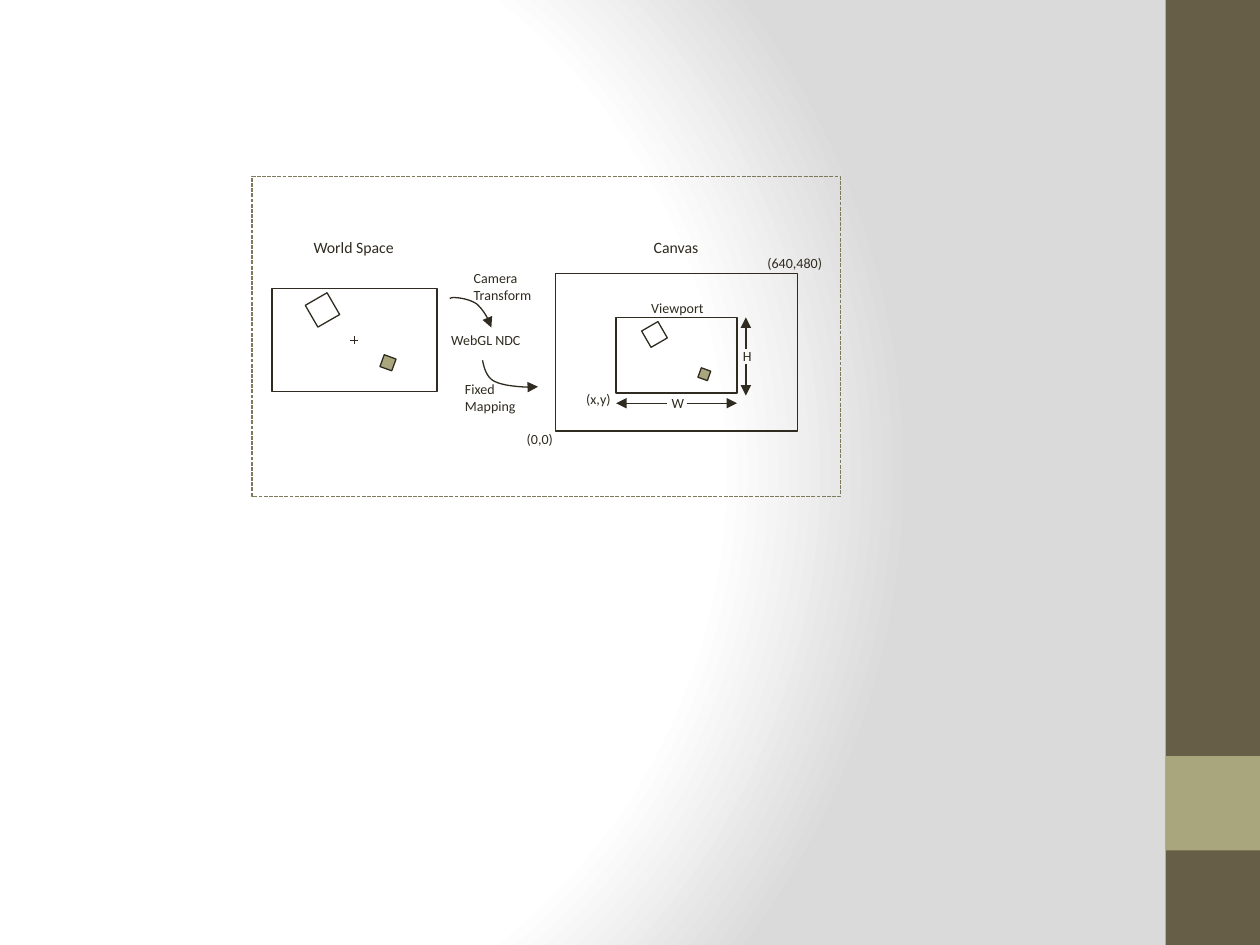
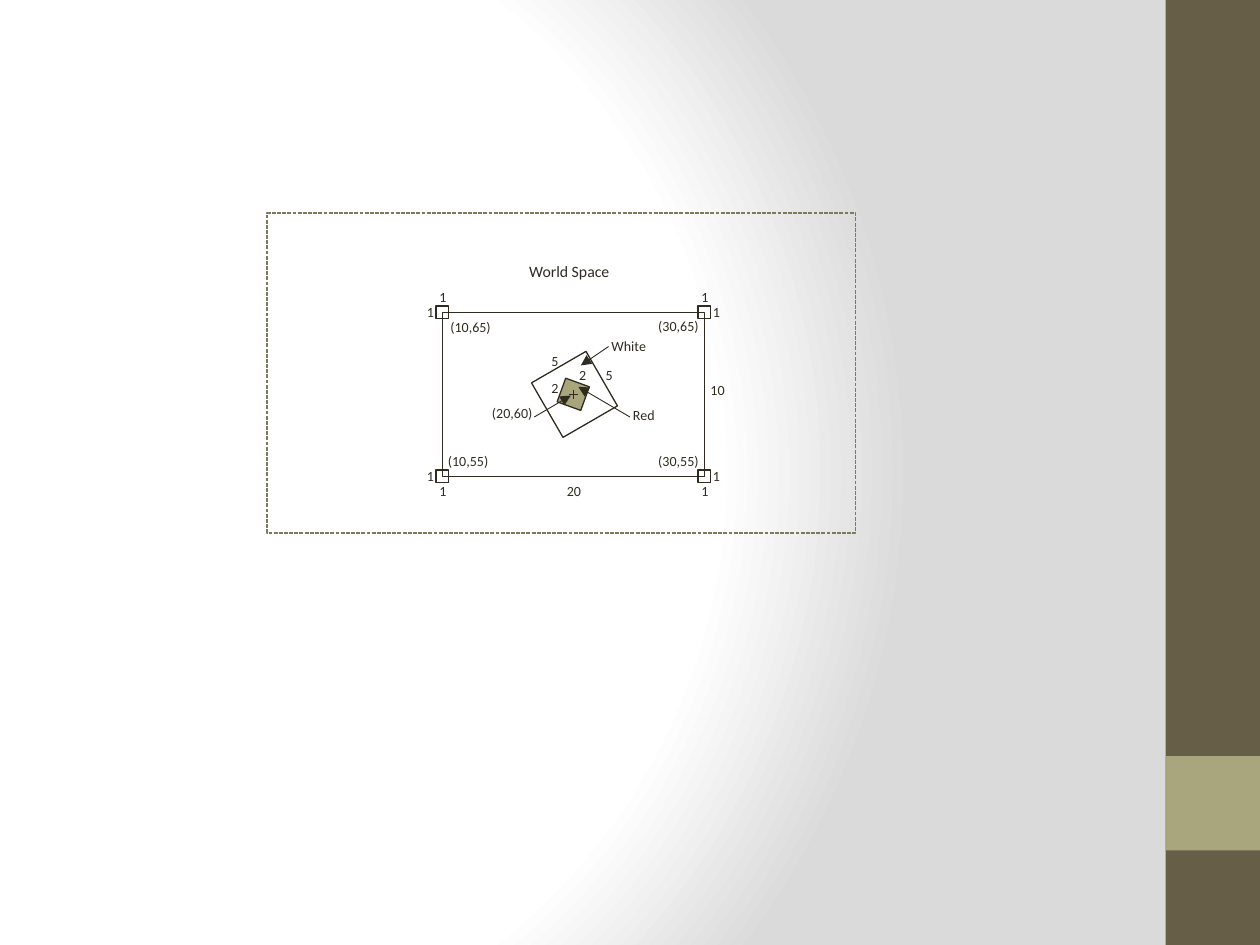
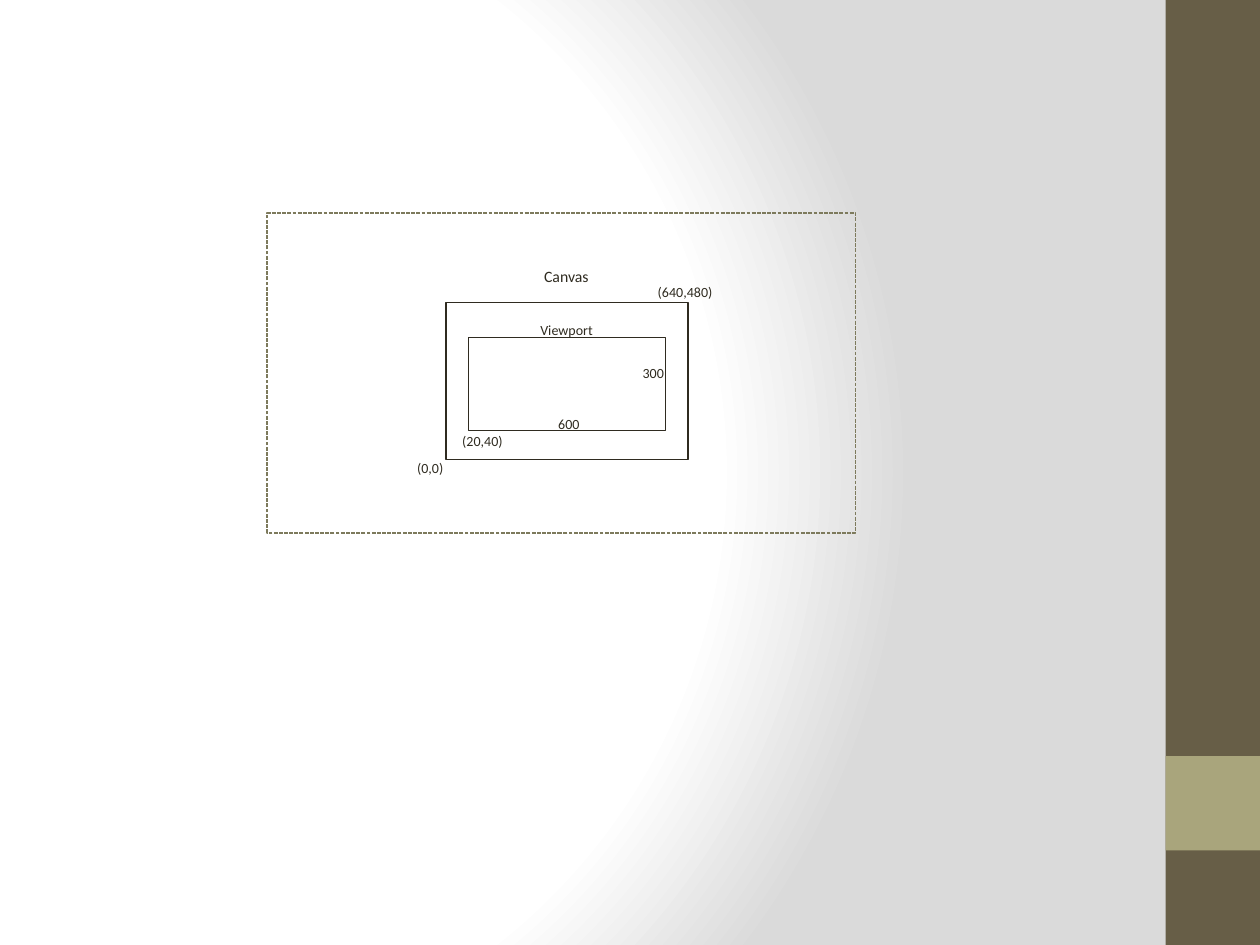
from lxml.etree import SubElement
from pptx import Presentation
from pptx.dml.color import RGBColor
from pptx.enum.dml import MSO_LINE
from pptx.enum.shapes import MSO_CONNECTOR, MSO_SHAPE
from pptx.enum.text import MSO_AUTO_SIZE, PP_ALIGN
from pptx.oxml import parse_xml
from pptx.oxml.ns import nsdecls, qn
from pptx.util import Inches, Pt

INK = RGBColor(0x2F, 0x2B, 0x20)
OLIVE = RGBColor(0x67, 0x5E, 0x47)
SAGE = RGBColor(0xA9, 0xA5, 0x7C)
MOSS = RGBColor(0x7D, 0x7A, 0x5C)
FONT = "Calibri"
LEFT, MID = PP_ALIGN.LEFT, PP_ALIGN.CENTER


def pen(shape, color=INK, width=0.75, dash=None, arrow=None):
    """Outline a shape or line, without shadow, with an arrow at head or tail."""
    shape.line.color.rgb = color
    shape.line.width = Pt(width)
    if dash:
        shape.line.dash_style = dash
    props = shape.element.spPr
    if arrow:
        SubElement(props.get_or_add_ln(), qn(f"a:{arrow}End")).set("type", "triangle")
    SubElement(props, qn("a:effectLst"))


def cross(x, y, arm):
    """Two thin lines that mark a centre."""
    return [(x - arm, y, x + arm, y, 0.5, None), (x, y - arm, x, y + arm, 0.5, None)]


deck = Presentation()
deck.slide_width, deck.slide_height = Inches(10), Inches(7.5)
master = deck.slide_master
blank = deck.slide_layouts[6]
pages = [deck.slides.add_slide(blank) for _ in range(3)]

# Shared background: a round gradient on the master
master.background.fill.solid()
back = master.element.cSld.bg.bgPr
stops = "".join(f'<a:gs pos="{pos}"><a:srgbClr val="{tone}"/></a:gs>'
                for pos, tone in ((0, "FFFFFF"), (75000, "FFFFFF"), (100000, "DADADA")))
back.replace(back[0], parse_xml(
    f'<a:gradFill {nsdecls("a")} rotWithShape="1"><a:gsLst>{stops}</a:gsLst>'
    '<a:path path="circle"><a:fillToRect l="20000" t="50000" r="100000" b="50000"/>'
    '</a:path></a:gradFill>'))

# Shared bands on the right, moved to the master
for num, (top, high, color) in enumerate(((0, 7.5, OLIVE), (6, 0.75, SAGE))):
    band = pages[0].shapes.add_shape(MSO_SHAPE.RECTANGLE, Inches(9.25), Inches(top),
                                     Inches(0.75), Inches(high))
    band.fill.solid()
    band.fill.fore_color.rgb = color
    band.line.fill.background()
    band.shadow.inherit = False
    band.element.nvSpPr.cNvPr.set("id", str(20 + num))
    master.shapes.element.insert(2 + num, band.element)

# boxes: left, top, width, height, turn, fill
# labels: text, left, top, width, height, size, side inset, alignment
# lines: from x, from y, to x, to y, width, arrow

# Slide 1: from world space to the viewport
world = {
    "frame": (2, 1.4),
    "canvas": (4.41, 2.17),
    "boxes": [
        (2.16, 2.29, 1.31, 0.82, 0, None),
        (2.46, 2.36, 0.2, 0.2, -30, None),
        (3.03, 2.83, 0.1, 0.1, 20, SAGE),
        (4.89, 2.52, 0.96, 0.6, 0, None),
        (5.12, 2.58, 0.15, 0.15, -30, None),
        (5.55, 2.93, 0.08, 0.08, 20, SAGE),
    ],
    "labels": [
        ("World Space", 2.39, 1.84, 0.92, 0.25, 9, 0.1, LEFT),
        ("Viewport", 5.07, 2.33, 0.64, 0.24, 8, 0.1, LEFT),
        ("(x,y)", 4.48, 3.05, 0.54, 0.24, 8, 0.1, MID),
        ("H", 5.86, 2.71, 0.14, 0.18, 8, 0, MID),
        ("W", 5.31, 3.08, 0.14, 0.18, 8, 0, MID),
        ("WebGL NDC", 3.58, 2.58, 0.61, 0.24, 8, 0, LEFT),
        ("Fixed Mapping", 3.69, 2.97, 0.61, 0.37, 8, 0, LEFT),
        ("Camera\nTransform", 3.76, 2.09, 0.61, 0.37, 8, 0, LEFT),
    ],
    "lines": cross(2.81, 2.7, 0.03) + [
        (5.92, 2.89, 5.92, 3.14, 0.75, "tail"),
        (5.92, 2.77, 5.92, 2.52, 0.75, "tail"),
        (5.45, 3.2, 5.85, 3.2, 0.75, "tail"),
        (5.29, 3.2, 4.89, 3.2, 0.75, "tail"),
    ],
    # Each curve is a chain of cubic pieces that share their end points
    "curves": [
        [(3.57, 2.37), (3.59, 2.35), (3.72, 2.37), (3.78, 2.41),
         (3.83, 2.45), (3.88, 2.53), (3.9, 2.6)],
        [(3.83, 2.86), (3.84, 2.91), (3.86, 3), (3.93, 3.03),
         (4.01, 3.07), (4.22, 3.08), (4.27, 3.07)],
    ],
}

# Slide 2: world space with its sizes and corners
size = {
    "frame": (2.12, 1.69),
    "boxes": [
        (3.51, 2.48, 2.08, 1.3, 0, None),
        (4.31, 2.88, 0.5, 0.5, -30, None),
        (4.45, 3.03, 0.2, 0.2, 20, SAGE),
    ] + [(x - 0.05, y - 0.05, 0.1, 0.1, 0, None)
         for x in (3.51, 5.59) for y in (2.48, 3.78)],
    "labels": [("World Space", 4.2, 2.03, 0.7, 0.25, 9, 0, LEFT)] + [
        (text, x, y, wide, 0.24, 8, 0, MID) for text, x, y, wide in [
            ("2", 4.31, 2.96, 0.19), ("2", 4.53, 2.86, 0.19),
            ("5", 4.31, 2.75, 0.19), ("5", 4.74, 2.86, 0.19),
            ("(10,65)", 3.56, 2.48, 0.35), ("(30,65)", 5.21, 2.47, 0.35),
            ("(10,55)", 3.54, 3.54, 0.35), ("(30,55)", 5.21, 3.54, 0.35),
            ("(20,60)", 3.89, 3.16, 0.35), ("White", 4.83, 2.63, 0.32),
            ("Red", 4.95, 3.18, 0.32), ("20", 4.46, 3.78, 0.19),
            ("10", 5.6, 2.98, 0.19),
        ] + [("1", x, y, 0.19) for x in (3.42, 5.5) for y in (2.24, 3.78)]
          + [("1", x, y, 0.19) for x in (3.32, 5.59) for y in (2.36, 3.66)]
    ],
    "lines": cross(4.55, 3.13, 0.035) + [
        (4.61, 2.9, 4.83, 2.75, 0.5, "head"),
        (4.59, 3.07, 5, 3.31, 0.5, "head"),
        (4.53, 3.14, 4.24, 3.31, 0.5, "head"),
    ],
}

# Slide 3: the viewport on the canvas
view = {
    "frame": (2.12, 1.69),
    "canvas": (3.54, 2.4),
    "boxes": [(3.72, 2.68, 1.56, 0.74, 0, None)],
    "labels": [
        ("Viewport", 4.19, 2.5, 0.64, 0.24, 8, 0.1, LEFT),
        ("(20,40)", 3.56, 3.38, 0.54, 0.24, 8, 0.1, MID),
        ("300", 4.97, 2.84, 0.43, 0.24, 8, 0.1, MID),
        ("600", 4.29, 3.25, 0.45, 0.24, 8, 0.1, MID),
    ],
    "lines": [],
}

for page, plan in zip(pages, (world, size, view)):
    shapes = page.shapes
    boxes, labels = plan["boxes"], plan["labels"]

    # Dashed frame
    x, y = plan["frame"]
    frame = shapes.add_shape(MSO_SHAPE.RECTANGLE, Inches(x), Inches(y),
                             Inches(4.67), Inches(2.54))
    frame.fill.background()
    pen(frame, MOSS, dash=MSO_LINE.SQUARE_DOT)

    # Canvas with its name and corners
    if "canvas" in plan:
        x, y = plan["canvas"]
        boxes = [(x, y, 1.92, 1.25, 0, None)] + boxes
        labels = labels + [
            ("Canvas", x + 0.68, y - 0.33, 0.56, 0.25, 9, 0.1, LEFT),
            ("(640,480)", x + 1.68, y - 0.2, 0.49, 0.24, 8, 0, LEFT),
            ("(0,0)", x - 0.23, y + 1.2, 0.25, 0.24, 8, 0, LEFT),
        ]

    # Boxes
    for x, y, wide, high, turn, fill in boxes:
        box = shapes.add_shape(MSO_SHAPE.RECTANGLE, Inches(x), Inches(y),
                               Inches(wide), Inches(high))
        box.rotation = turn
        if fill:
            box.fill.solid()
            box.fill.fore_color.rgb = fill
        else:
            box.fill.background()
        pen(box)

    # Lines and arrows
    for x1, y1, x2, y2, width, arrow in plan["lines"]:
        line = shapes.add_connector(MSO_CONNECTOR.STRAIGHT, Inches(x1), Inches(y1),
                                    Inches(x2), Inches(y2))
        pen(line, width=width, arrow=arrow)

    # Curved arrows, drawn in ten steps per cubic piece
    for knots in plan.get("curves", []):
        dots = []
        for at in range(0, len(knots) - 1, 3):
            for step in range(1, 11):
                t = step / 10
                parts = ((1 - t) ** 3, 3 * t * (1 - t) ** 2, 3 * t * t * (1 - t), t ** 3)
                dots.append(tuple(
                    Inches(sum(part * knot[axis] for part, knot in zip(parts, knots[at:at + 4])))
                    for axis in (0, 1)))
        path = shapes.build_freeform(Inches(knots[0][0]), Inches(knots[0][1]))
        path.add_line_segments(dots, close=False)
        curve = path.convert_to_shape()
        curve.fill.background()
        pen(curve, arrow="tail")

    # Labels
    for text, x, y, wide, high, points, side, align in labels:
        label = shapes.add_textbox(Inches(x), Inches(y), Inches(wide), Inches(high))
        body = label.text_frame
        body.word_wrap = True
        body.auto_size = MSO_AUTO_SIZE.SHAPE_TO_FIT_TEXT
        body.margin_left = body.margin_right = Inches(side)
        body.text = text
        for para in body.paragraphs:
            para.alignment = align
            para.font.name = FONT
            para.font.size = Pt(points)
            para.font.color.rgb = INK

deck.save("out.pptx")
